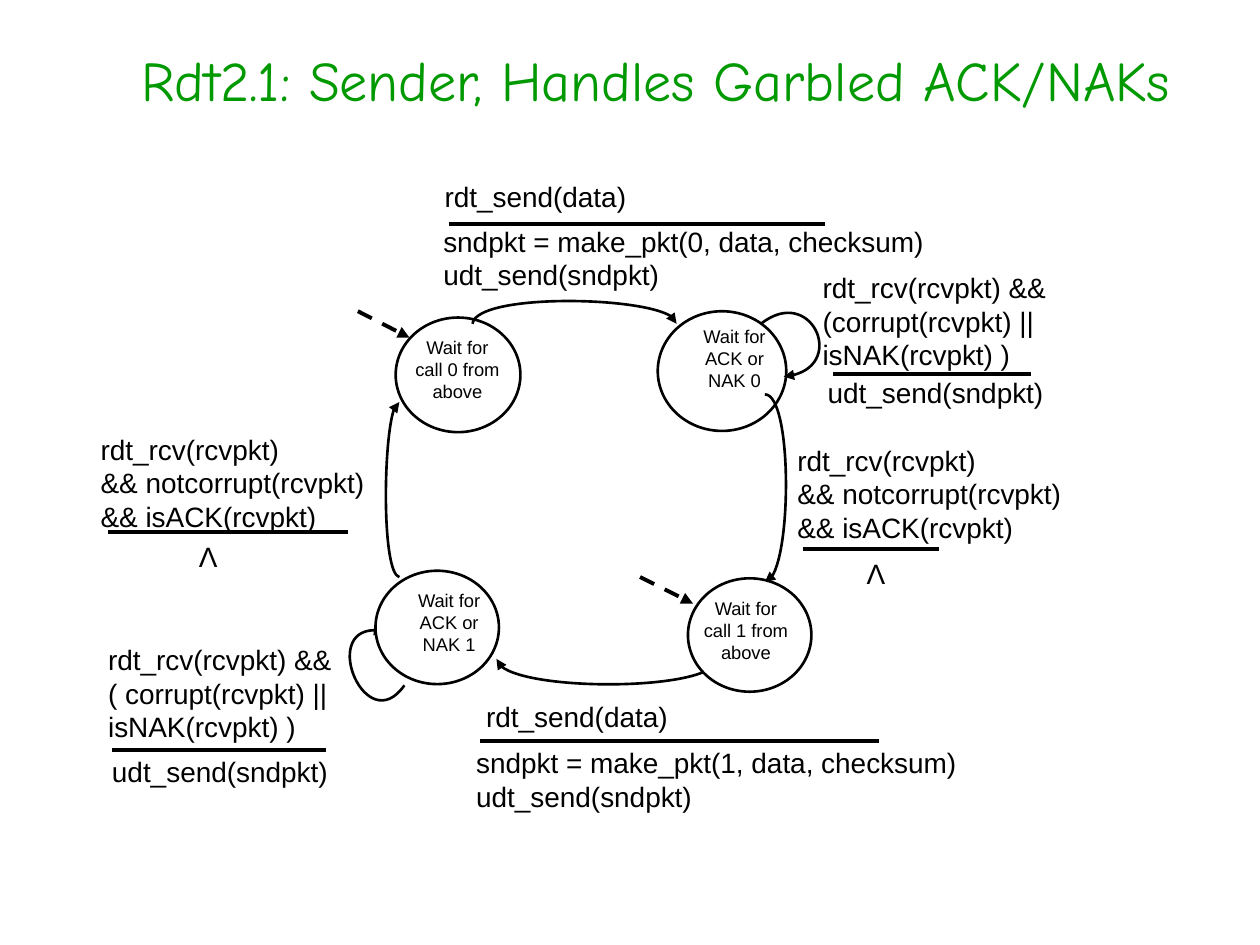
from lxml.etree import SubElement
from pptx import Presentation
from pptx.dml.color import RGBColor
from pptx.enum.dml import MSO_LINE_DASH_STYLE as Dash
from pptx.enum.shapes import MSO_CONNECTOR, MSO_SHAPE
from pptx.enum.text import MSO_ANCHOR as Anchor, PP_ALIGN as Align
from pptx.oxml.ns import qn
from pptx.util import Inches, Pt

BLACK, WHITE, GREEN = "000000", "FFFFFF", "009900"

TITLE = "Rdt2.1: Sender, Handles Garbled ACK/NAKs"

# States: circle box, text box, paragraphs
TOP_STATES = [
    ((3.14, 2.52, 0.99, 0.91), (3.17, 2.62, 0.92, 0.67), ["Wait for call 0 from above"]),
    ((5.22, 2.47, 1.02, 0.95), (5.33, 2.53, 1, 0.71), ["Wait for ACK or NAK 0"]),
]
BOTTOM_STATES = [
    ((5.46, 4.59, 0.98, 0.9), (5.31, 4.69, 1.22, 0.67), ["Wait for", "call 1 from above"]),
    ((2.98, 4.53, 0.98, 0.9), (3.08, 4.63, 0.97, 0.67), ["Wait for ACK or NAK 1"]),
]

# Transitions: start, two control points, end (the arrowhead is at the end)
TRANSITIONS = [
    [(3.21, 5.44), (2.91, 5.87), (2.5, 4.91), (3.05, 5.01)],
    [(3.75, 2.57), (3.78, 2.33), (5.37, 2.35), (5.37, 2.57)],
    [(6.04, 2.57), (6.43, 2.26), (6.75, 2.94), (6.22, 2.99)],
    [(3.17, 4.58), (3.03, 4.55), (3.04, 3.19), (3.17, 3.19)],
    [(5.69, 5.23), (5.69, 5.48), (3.97, 5.5), (3.94, 5.23)],
    [(6.07, 3.13), (6.28, 3.13), (6.29, 4.59), (6.07, 4.62)],
]

# Dashed entry arrows: from, to
ENTRY_ARROWS = [((2.84, 2.47), (3.25, 2.68)), ((5.08, 4.58), (5.5, 4.79))]

# Labels: event box and lines, action box and lines, rule between (left, right, y)
ACK_EVENT = ["rdt_rcv(rcvpkt)", "&& notcorrupt(rcvpkt)", "&& isACK(rcvpkt)"]
LABELS = [
    ((3.43, 1.38, 2.31, 0.33), ["rdt_send(data)"],
     (3.42, 1.73, 4.04, 0.44), ["sndpkt = make_pkt(0, data, checksum)", "udt_send(sndpkt)"],
     (3.56, 6.55, 1.78)),
    ((6.43, 2.1, 2.8, 0.62), ["rdt_rcv(rcvpkt) &&", "(corrupt(rcvpkt) ||", "isNAK(rcvpkt) )"],
     (6.47, 2.93, 2.47, 0.44), ["udt_send(sndpkt)"],
     (6.61, 8.18, 2.97)),
    ((6.23, 3.47, 3.28, 0.62), ACK_EVENT,
     (6.78, 4.37, 0.36, 0.37), ["Λ"],
     (6.37, 7.45, 4.36)),
    ((3.76, 5.5, 2.61, 0.31), ["rdt_send(data)"],
     (3.68, 5.87, 4.12, 0.44), ["sndpkt = make_pkt(1, data, checksum)", "udt_send(sndpkt)"],
     (3.81, 6.98, 5.88)),
    ((0.76, 5.05, 2.2, 0.62), ["rdt_rcv(rcvpkt) &&", "( corrupt(rcvpkt) ||", "isNAK(rcvpkt) )"],
     (0.79, 5.94, 1.99, 0.3), ["udt_send(sndpkt)"],
     (0.89, 2.59, 5.95)),
    ((0.7, 3.38, 2.31, 0.62), ACK_EVENT,
     (1.48, 4.23, 0.36, 0.37), ["Λ"],
     (0.86, 2.76, 4.22)),
]

presentation = Presentation()
presentation.slide_width, presentation.slide_height = Inches(10), Inches(7.5)
slide = presentation.slides.add_slide(presentation.slide_layouts[6])


def color(value):
    return RGBColor.from_string(value)


def inches(values):
    return [Inches(value) for value in values]


def add_text(box, lines, size=16, align=Align.LEFT, font="Arial", ink=BLACK, anchor=Anchor.TOP):
    frame = slide.shapes.add_textbox(*inches(box)).text_frame
    frame.word_wrap = True
    frame.vertical_anchor = anchor
    for index, line in enumerate(lines):
        paragraph = frame.add_paragraph() if index else frame.paragraphs[0]
        paragraph.alignment = align
        run = paragraph.add_run()
        run.text = line
        run.font.name, run.font.size = font, Pt(size)
        run.font.color.rgb = color(ink)


def style_line(line, width, arrow=False):
    line.color.rgb = color(BLACK)
    line.width = Pt(width)
    if arrow:
        SubElement(line._get_or_add_ln(), qn("a:tailEnd"), type="triangle")


def add_line(start, end, dashed=False):
    connector = slide.shapes.add_connector(MSO_CONNECTOR.STRAIGHT, *inches(start + end))
    if dashed:
        connector.line.dash_style = Dash.DASH
    style_line(connector.line, 2.25, arrow=dashed)
    SubElement(connector._element.spPr, qn("a:effectLst"))


def add_curve(points):
    start, *others = [tuple(inches(point)) for point in points]
    builder = slide.shapes.build_freeform(*start)
    builder.add_line_segments(others, close=False)
    shape = builder.convert_to_shape()
    shape.shadow.inherit = False
    shape.fill.background()
    style_line(shape.line, 1.5, arrow=True)
    # Turn the three segments into one cubic curve
    outline = next(shape._element.iter(qn("a:path")))
    curve = SubElement(outline, qn("a:cubicBezTo"))
    for segment in outline.findall(qn("a:lnTo")):
        curve.append(segment[0])
        outline.remove(segment)


def add_state(circle, box, lines):
    shape = slide.shapes.add_shape(MSO_SHAPE.OVAL, *inches(circle))
    shape.shadow.inherit = False
    shape.fill.solid()
    shape.fill.fore_color.rgb = color(WHITE)
    style_line(shape.line, 1.5)
    add_text(box, lines, size=10.5, align=Align.CENTER)


# Title
add_text((0.42, 0, 9.58, 1.25), [TITLE], 32, Align.CENTER, "Comic Neue", GREEN, Anchor.MIDDLE)

# Upper states, then transitions, then the lower states over the curve ends
for state in TOP_STATES:
    add_state(*state)
for points in TRANSITIONS:
    add_curve(points)
for state in BOTTOM_STATES:
    add_state(*state)

# Event over action, with a rule between
for event_box, event, action_box, action, (left, right, y) in LABELS:
    add_text(event_box, event)
    add_text(action_box, action)
    add_line((left, y), (right, y))

# Entry arrows
for start, end in ENTRY_ARROWS:
    add_line(start, end, dashed=True)

presentation.save("out.pptx")
